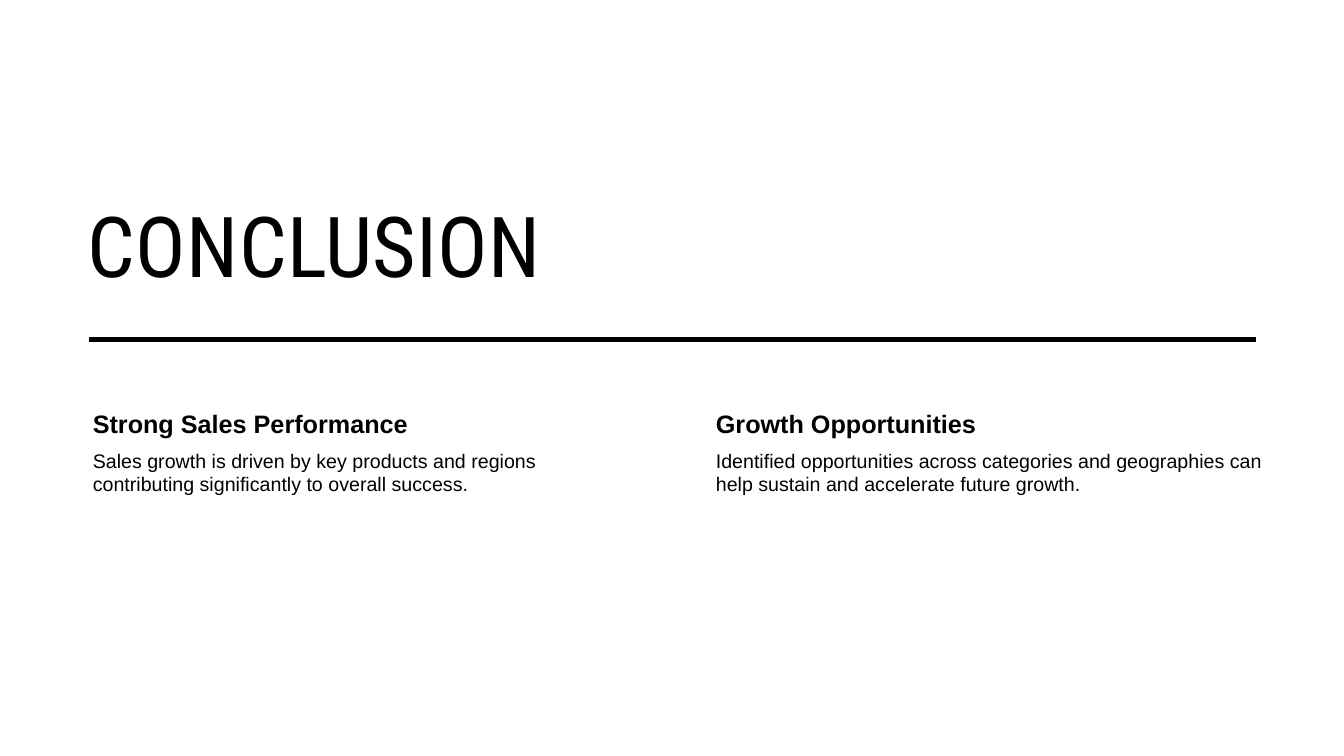
from pptx import Presentation
from pptx import util as u
from pptx.dml.color import RGBColor
from pptx.enum import shapes, text
from pptx.oxml import parse_xml
from pptx.oxml.ns import nsdecls

BLACK = RGBColor(0x00, 0x00, 0x00)
WHITE = RGBColor(0xFF, 0xFF, 0xFF)
TITLE_FONT = "Roboto Condensed"
BODY_FONT = "Arial"


class ConclusionSlide:
    """Holds the style and the current slide."""

    def __init__(self, presentation):
        title_only = presentation.slide_layouts[5]
        self.slide = presentation.slides.add_slide(title_only)
        self.slide.background.fill.solid()
        self.slide.background.fill.fore_color.rgb = WHITE

    def place(self, shape, left, top, width, height):
        shape.left, shape.top = u.Inches(left), u.Inches(top)
        shape.width, shape.height = u.Inches(width), u.Inches(height)

    def add_words(self, paragraph, words, font_name, size, bold=False):
        paragraph.alignment = text.PP_ALIGN.LEFT
        run = paragraph.add_run()
        run.text = words
        run.font.name = font_name
        run.font.size = u.Pt(size)
        run.font.bold = bold
        run.font.color.rgb = BLACK
        return run

    def title(self, words, left, top, width, height):
        shape = self.slide.shapes.title
        self.place(shape, left, top, width, height)
        frame = shape.text_frame
        frame.auto_size = text.MSO_AUTO_SIZE.NONE
        frame.vertical_anchor = text.MSO_ANCHOR.BOTTOM
        frame.margin_bottom = u.Inches(0.02)
        run = self.add_words(frame.paragraphs[0], words, TITLE_FONT, 60)
        run.font._element.set("spc", "30")

    def text_box(self, words, left, top, width, height, size, bold=False):
        shape = self.slide.shapes.add_textbox(0, 0, 0, 0)
        self.place(shape, left, top, width, height)
        frame = shape.text_frame
        frame.word_wrap = True
        frame.margin_left = u.Inches(0.15)
        frame.margin_top = u.Inches(0.05)
        frame.margin_right = frame.margin_bottom = u.Inches(0.02)
        self.add_words(frame.paragraphs[0], words, BODY_FONT, size, bold)

    def rule(self, left, right, y):
        line = self.slide.shapes.add_connector(
            shapes.MSO_CONNECTOR.STRAIGHT,
            u.Inches(left), u.Inches(y), u.Inches(right), u.Inches(y))
        line.line.color.rgb = BLACK
        line.line.width = u.Pt(3.5)
        line._element.spPr.append(
            parse_xml(f"<a:effectLst {nsdecls('a')}/>"))


def main():
    presentation = Presentation()
    presentation.slide_width = u.Inches(13.33)
    presentation.slide_height = u.Inches(7.5)
    conclusion = ConclusionSlide(presentation)

    # Title
    conclusion.title("CONCLUSION", 0.77, 1.4, 8.74, 1.54)

    # Two columns, each a heading above its text
    columns = [
        ("Strong Sales Performance",
         "Sales growth is driven by key products and regions "
         "contributing significantly to overall success."),
        ("Growth Opportunities",
         "Identified opportunities across categories and geographies "
         "can help sustain and accelerate future growth."),
    ]
    for index, (heading, body) in enumerate(columns):
        left = 0.77 + index * 6.18
        conclusion.text_box(heading, left, 4, 5.62, 0.4, 18, bold=True)
        conclusion.text_box(body, left, 4.4, 5.62, 2.34, 14)

    # Rule below the title
    conclusion.rule(0.88, 12.46, 3.37)

    presentation.save("out.pptx")


if __name__ == "__main__":
    main()
